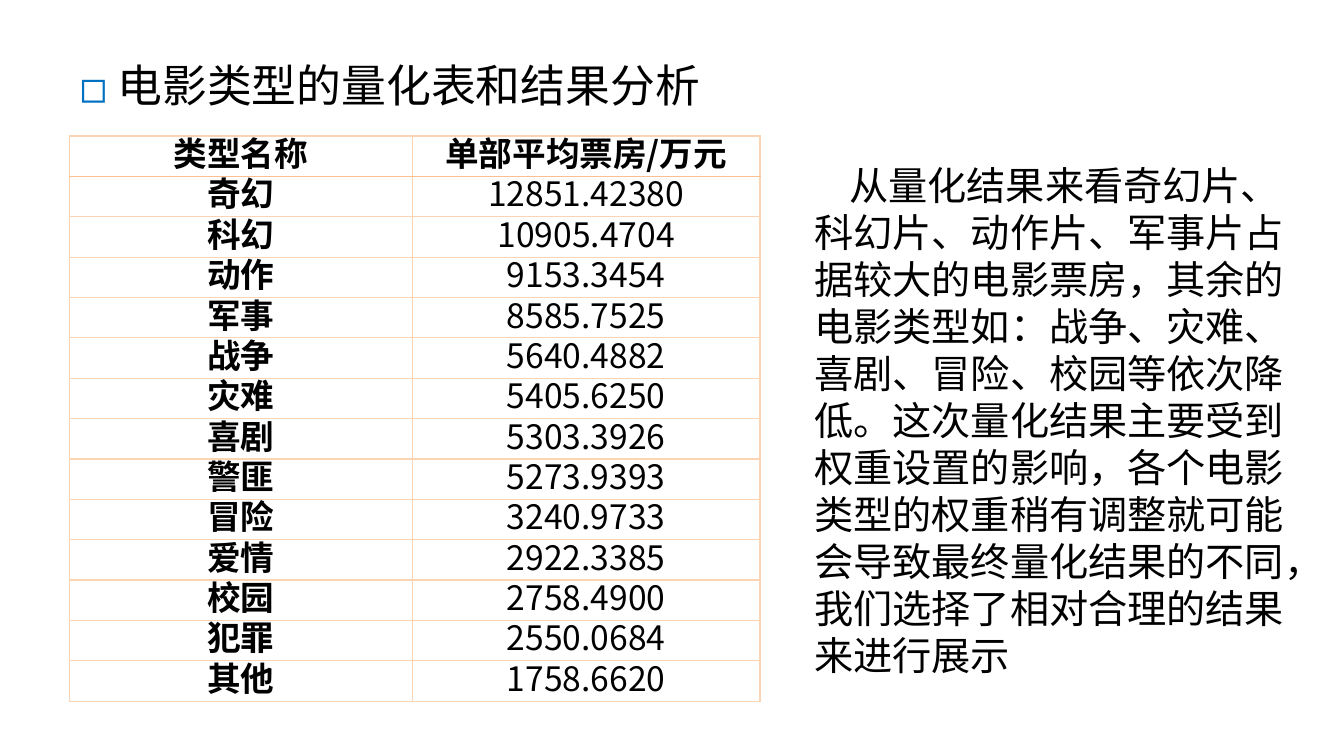
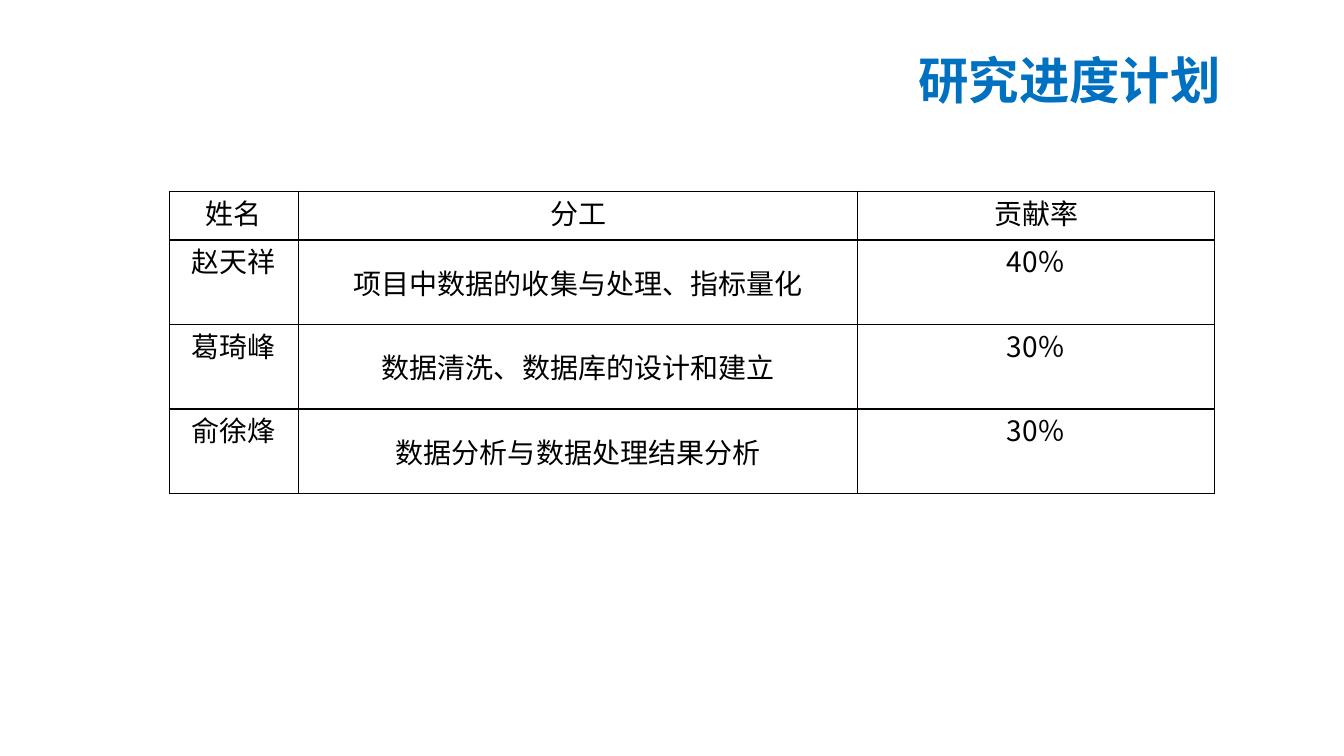
"""Build two slides: film genre box office and the division of work."""
from dataclasses import dataclass
from typing import Optional

from lxml import etree
from pptx import Presentation
from pptx import util as u
from pptx.dml.color import RGBColor
from pptx.enum import text
from pptx.oxml import ns

FONT = "Noto Sans CJK SC"
BLACK = RGBColor(0x00, 0x00, 0x00)
BLUE = RGBColor(0x00, 0x71, 0xC1)
PEACH = RGBColor(0xFB, 0xD4, 0xB4)
ORANGE = RGBColor(0xFA, 0xBF, 0x8F)
INK = RGBColor(0x08, 0x00, 0x00)
LEFT, CENTER = text.PP_ALIGN.LEFT, text.PP_ALIGN.CENTER
TOP, MIDDLE = text.MSO_ANCHOR.TOP, text.MSO_ANCHOR.MIDDLE


@dataclass(frozen=True)
class Box:
    """A rectangle in points."""
    left: float
    top: float
    width: float
    height: float


@dataclass(frozen=True)
class Style:
    """Look of one paragraph; line is the exact line height in points."""
    size: float
    color: RGBColor = BLACK
    bold: bool = False
    align: text.PP_ALIGN = LEFT
    line: Optional[float] = None


@dataclass(frozen=True)
class Rule:
    """Colour and width of a cell border."""
    color: RGBColor
    width: float = 1


@dataclass(frozen=True)
class Grid:
    """Geometry and look of a table."""
    left: float
    top: float
    columns: tuple[float, ...]
    header_height: float
    row_height: float
    style: Style
    rule: Rule
    header_rule: Rule
    side_inset: float = 0
    bold_labels: bool = False
    middle_column: Optional[int] = None


def add_child(parent, tag: str, **attributes: str):
    """Append a DrawingML element to parent."""
    return etree.SubElement(parent, ns.qn(tag), attributes)


def write(para, words: str, style: Style, bold: Optional[bool] = None) -> None:
    """Add one styled run to a paragraph."""
    para.alignment = style.align
    if style.line:
        para.line_spacing = u.Pt(style.line)
    span = para.add_run()
    span.text = words
    font = span.font
    font.size, font.name = u.Pt(style.size), FONT
    font.bold = style.bold if bold is None else bold
    font.color.rgb = style.color
    add_child(font._element, "a:ea", typeface=FONT)


def set_indent(para, margin: float, first: float) -> None:
    """Set the left margin and first-line indent of a paragraph."""
    properties = para._p.get_or_add_pPr()
    properties.set("marL", str(u.Pt(margin)))
    properties.set("indent", str(u.Pt(first)))


def add_bullet(para, mark: str, color: RGBColor) -> None:
    """Give a paragraph a coloured bullet."""
    properties = para._p.get_or_add_pPr()
    add_child(add_child(properties, "a:buClr"), "a:srgbClr", val=str(color))
    add_child(properties, "a:buFont", typeface=FONT)
    add_child(properties, "a:buChar", char=mark)


def prepare_frame(frame):
    """Make a text frame wrap from the top and return its first paragraph."""
    frame.word_wrap = True
    frame.auto_size = text.MSO_AUTO_SIZE.NONE
    frame.vertical_anchor = TOP
    return frame.paragraphs[0]


def add_titled_slide(deck, words: str, box: Box, style: Style):
    """Add a title-only slide; return the slide and its title paragraph."""
    slide = deck.slides.add_slide(deck.slide_layouts[5])
    title = slide.shapes.title
    title.left, title.top = u.Pt(box.left), u.Pt(box.top)
    title.width, title.height = u.Pt(box.width), u.Pt(box.height)
    para = prepare_frame(title.text_frame)
    write(para, words, style)
    return slide, para


def add_body(slide, words: str, box: Box, style: Style, first: float) -> None:
    """Add a text box whose first line is indented."""
    shape = slide.shapes.add_textbox(
        u.Pt(box.left), u.Pt(box.top), u.Pt(box.width), u.Pt(box.height))
    para = prepare_frame(shape.text_frame)
    write(para, words, style)
    set_indent(para, 0, first)


def set_border(cell, side: str, rule: Rule) -> None:
    """Draw one border of a cell; side is L, R, T or B."""
    line = add_child(cell._tc.get_or_add_tcPr(), f"a:ln{side}",
                     w=str(u.Pt(rule.width)))
    add_child(add_child(line, "a:solidFill"), "a:srgbClr", val=str(rule.color))


def add_grid(slide, grid: Grid, rows: list[tuple[str, ...]]) -> None:
    """Add a table with a header row and ruled, unfilled cells."""
    heights = [grid.header_height] + [grid.row_height] * (len(rows) - 1)
    table = slide.shapes.add_table(
        len(rows), len(grid.columns), u.Pt(grid.left), u.Pt(grid.top),
        u.Pt(sum(grid.columns)), u.Pt(sum(heights))).table
    table.first_row = table.horz_banding = False
    for column, width in zip(table.columns, grid.columns):
        column.width = u.Pt(width)
    for r, (words, height) in enumerate(zip(rows, heights)):
        table.rows[r].height = u.Pt(height)
        for c, word in enumerate(words):
            cell = table.cell(r, c)
            cell.margin_left = cell.margin_right = u.Pt(grid.side_inset)
            cell.margin_top = cell.margin_bottom = 0
            in_middle = r > 0 and c == grid.middle_column
            cell.vertical_anchor = MIDDLE if in_middle else TOP
            for side in "LRTB":
                under_header = (r, side) in ((0, "B"), (1, "T"))
                set_border(cell, side,
                           grid.header_rule if under_header else grid.rule)
            cell.fill.background()
            write(cell.text_frame.paragraphs[0], word, grid.style,
                  bold=grid.bold_labels and (r == 0 or c == 0))


GENRE_GRID = Grid(
    left=49.7, top=97.2, columns=(244.8, 248.4),
    header_height=28.8, row_height=28.8,
    style=Style(24, align=CENTER, line=28.8),
    rule=Rule(PEACH), header_rule=Rule(ORANGE, 1.5),
    side_inset=5, bold_labels=True)
GENRES = [
    ("类型名称", "单部平均票房/万元"),
    ("奇幻", "12851.42380"),
    ("科幻", "10905.4704"),
    ("动作", "9153.3454"),
    ("军事", "8585.7525"),
    ("战争", "5640.4882"),
    ("灾难", "5405.6250"),
    ("喜剧", "5303.3926"),
    ("警匪", "5273.9393"),
    ("冒险", "3240.9733"),
    ("爱情", "2922.3385"),
    ("校园", "2758.4900"),
    ("犯罪", "2550.0684"),
    ("其他", "1758.6620"),
]
ANALYSIS = (
    "从量化结果来看奇幻片、科幻片、动作片、军事片占据较大的电影票房，"
    "其余的电影类型如：战争、灾难、喜剧、冒险、校园等依次降低。"
    "这次量化结果主要受到权重设置的影响，各个电影类型的权重稍有调整"
    "就可能会导致最终量化结果的不同，我们选择了相对合理的结果来进行展示")

WORK_GRID = Grid(
    left=121, top=136.8, columns=(92.2, 399.6, 254.9),
    header_height=34.6, row_height=60.4,
    style=Style(20, align=CENTER),
    rule=Rule(INK), header_rule=Rule(INK), middle_column=1)
WORK = [
    ("姓名", "分工", "贡献率"),
    ("赵天祥", "项目中数据的收集与处理、指标量化", "40％"),
    ("葛琦峰", "数据清洗、数据库的设计和建立", "30％"),
    ("俞徐烽", "数据分析与数据处理结果分析", "30％"),
]


def build_genre_slide(deck) -> None:
    """Add the table of genres with its analysis."""
    slide, title = add_titled_slide(
        deck, "电影类型的量化表和结果分析",
        Box(49.7, 18.6, 874, 65.5), Style(32, line=57.6))
    set_indent(title, 27, -27)
    add_bullet(title, "◻", BLUE)
    add_grid(slide, GENRE_GRID, GENRES)
    add_body(slide, ANALYSIS, Box(574.6, 111.6, 372.2, 380),
             Style(28, line=33.6), first=25)


def build_work_slide(deck) -> None:
    """Add the table of who does what."""
    slide, _ = add_titled_slide(
        deck, "研究进度计划", Box(648.7, 31.6, 262.8, 51),
        Style(36, BLUE, bold=True, line=43.2))
    add_grid(slide, WORK_GRID, WORK)


def main() -> None:
    """Build and save the deck."""
    deck = Presentation()
    deck.slide_width, deck.slide_height = u.Pt(960), u.Pt(540)
    build_genre_slide(deck)
    build_work_slide(deck)
    deck.save("out.pptx")


main()
